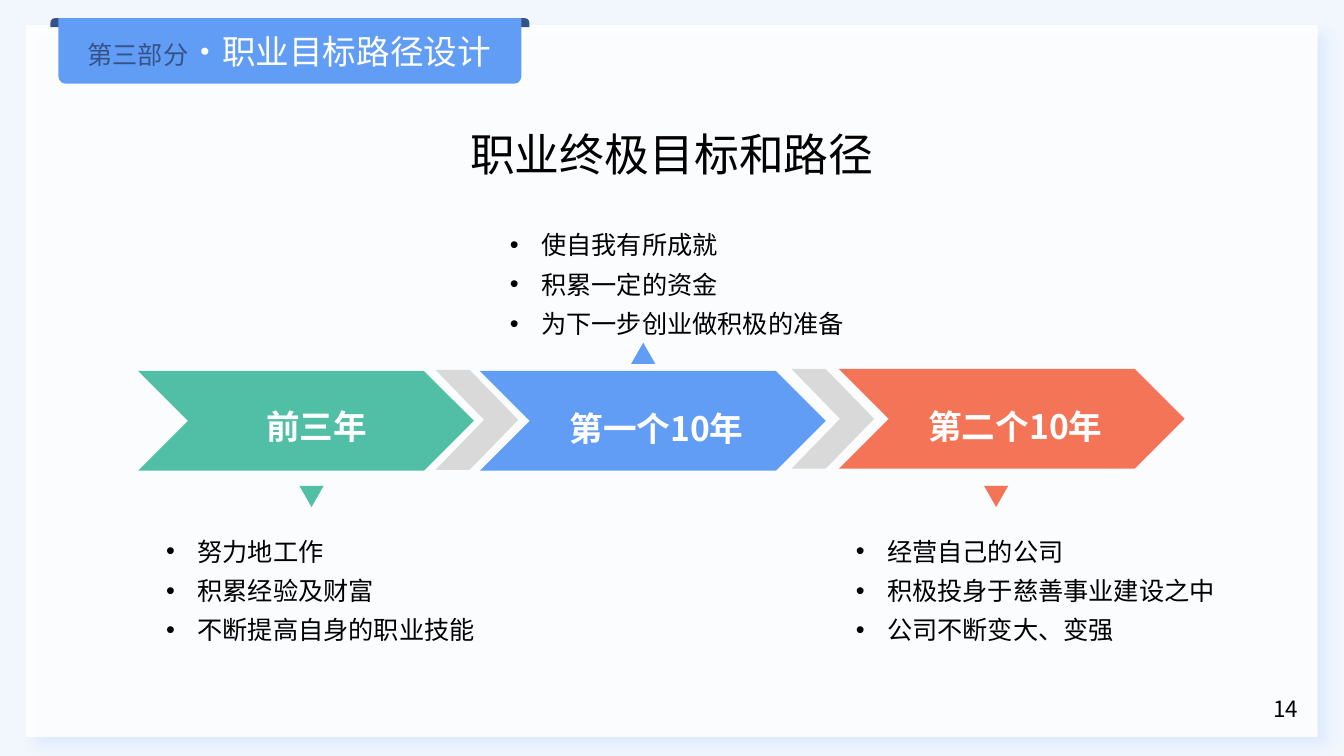
import collections

import lxml.etree
import pptx
import pptx.dml.color
import pptx.enum.shapes
import pptx.enum.text
import pptx.oxml
import pptx.oxml.ns
import pptx.util

RGBColor = pptx.dml.color.RGBColor
SHAPES = pptx.enum.shapes.MSO_SHAPE
CENTER = pptx.enum.text.PP_ALIGN.CENTER
qn = pptx.oxml.ns.qn

PALE = RGBColor(0xF2, 0xF7, 0xFE)
WHITE = RGBColor(0xFF, 0xFF, 0xFF)
BLACK = RGBColor(0x00, 0x00, 0x00)
NAVY = RGBColor(0x35, 0x53, 0x89)
BLUE = RGBColor(0x61, 0x9D, 0xF5)
GREEN = RGBColor(0x50, 0xBF, 0xA5)
ORANGE = RGBColor(0xF4, 0x74, 0x58)
GRAY = RGBColor(0xD9, 0xD9, 0xD9)
FONT = "Noto Sans CJK SC"

SLIDE_WIDTH = pptx.util.Inches(13.33)
SLIDE_HEIGHT = pptx.util.Inches(7.5)
COLUMN = SLIDE_WIDTH / 133.3
ROW = SLIDE_HEIGHT / 75

Box = collections.namedtuple("Box", "left top width height")
Stage = collections.namedtuple("Stage", "box name label pointer points colour bullets")

STAGES = [
    Stage(Box(13.7, 36.8, 33.3, 9.9), "前三年", Box(11.7, 1.8, 12.1, 5.9),
          Box(16, 11.4, 2.4, 2.1), Box(1.8, 15, 35.7, 12.6), GREEN,
          ["努力地工作", "积累经验及财富", "不断提高自身的职业技能"]),
    Stage(Box(47.6, 36.8, 34.3, 9.9), "第一个10年", Box(7.9, 2, 22.4, 5.9),
          Box(15, -2.8, 2.4, 2.1), Box(2, -15.4, 36.7, 12.6), BLUE,
          ["使自我有所成就", "积累一定的资金", "为下一步创业做积极的准备"]),
    Stage(Box(83.2, 36.6, 34.3, 9.9), "第二个10年", Box(7.9, 2, 22.4, 5.9),
          Box(14.4, 11.6, 2.4, 2.1), Box(0.7, 15.2, 39.9, 12.6), ORANGE,
          ["经营自己的公司", "积极投身于慈善事业建设之中", "公司不断变大、变强"]),
]


def inside(box, part):
    """Return part, given from the corner of box, in slide grid units."""
    return part._replace(left=box.left + part.left, top=box.top + part.top)


def measure(box):
    """Turn grid units into whole slide lengths."""
    return (round(box.left * COLUMN), round(box.top * ROW),
            round(box.width * COLUMN), round(box.height * ROW))


def add_block(slide, box, kind, colour, adjustments=(), rotation=0):
    """Add a plain filled shape."""
    shape = slide.shapes.add_shape(kind, *measure(box))
    shape.shadow.inherit = False
    shape.fill.solid()
    shape.fill.fore_color.rgb = colour
    shape.line.fill.background()
    shape.rotation = rotation
    for index, value in enumerate(adjustments):
        shape.adjustments[index] = value
    return shape


def add_text(slide, box, lines, size=18, colour=BLACK, bold=False, align=None,
             spacing=None, bullet=False, wrap=True):
    """Add a text box; each line is a list of (text, overrides) runs."""
    frame = slide.shapes.add_textbox(*measure(box)).text_frame
    frame.word_wrap = wrap
    for index, runs in enumerate(lines):
        paragraph = frame.add_paragraph() if index else frame.paragraphs[0]
        if bullet:
            properties = paragraph._p.get_or_add_pPr()
            indent = pptx.util.Inches(0.31)
            properties.set("marL", str(indent))
            properties.set("indent", str(-indent))
            lxml.etree.SubElement(properties, qn("a:buFont"), typeface="Arial")
            lxml.etree.SubElement(properties, qn("a:buChar"), char="•")
        paragraph.alignment = align
        paragraph.line_spacing = spacing
        for text, style in runs:
            run = paragraph.add_run()
            run.text = text
            run.font.name = FONT
            run.font.size = pptx.util.Pt(style.get("size", size))
            run.font.bold = bold
            run.font.color.rgb = style.get("colour", colour)
            lxml.etree.SubElement(run._r.get_or_add_rPr(), qn("a:ea"), typeface=FONT)


def add_panel(slide, box):
    """Add the translucent page panel with its soft shadow and page number."""
    properties = add_block(slide, box, SHAPES.RECTANGLE, WHITE)._element.spPr
    fill_colour = properties.find(qn("a:solidFill")).find(qn("a:srgbClr"))
    lxml.etree.SubElement(fill_colour, qn("a:alpha"), val="88000")
    shadow = lxml.etree.SubElement(
        properties.find(qn("a:effectLst")), qn("a:outerShdw"),
        blurRad=str(pptx.util.Pt(9)), dist=str(pptx.util.Pt(9)),
        dir="2700000", algn="tl", rotWithShape="0")
    shadow_colour = lxml.etree.SubElement(shadow, qn("a:srgbClr"), val=str(BLUE))
    lxml.etree.SubElement(shadow_colour, qn("a:alpha"), val="15000")
    add_text(slide, inside(box, Box(122.4, 66, 5, 4)), [[("14", {})]], size=16, align=CENTER)


def add_section_tab(slide, box):
    """Add the folded tab that names the section."""
    add_block(slide, box._replace(height=0.9), SHAPES.ROUND_2_SAME_RECTANGLE, NAVY, (0.5, 0))
    add_block(slide, inside(box, Box(0.8, 0, 45.9, 6.5)),
              SHAPES.ROUND_2_SAME_RECTANGLE, BLUE, (0.107, 0), rotation=180)
    add_text(slide, inside(box, Box(2.7, 0.8, 44.1, 5)),
             [[("第三部分", {"size": 18, "colour": NAVY}), ("·职业目标路径设计", {})]],
             size=24, colour=WHITE, wrap=False)


def add_stage(slide, stage):
    """Add a stage chevron with its label, pointer and bullet list."""
    box = stage.box
    add_block(slide, box, SHAPES.CHEVRON, stage.colour)
    add_text(slide, inside(box, stage.label), [[(stage.name, {})]], size=24,
             colour=WHITE, bold=True, spacing=1.3, wrap=len(stage.name) > 3)
    add_block(slide, inside(box, stage.pointer), SHAPES.ISOSCELES_TRIANGLE, stage.colour,
              rotation=180 if stage.pointer.top > 0 else 0)
    add_text(slide, inside(box, stage.points), [[(text, {})] for text in stage.bullets],
             spacing=1.3, bullet=True)


def main():
    """Build the career path slide."""
    presentation = pptx.Presentation()
    presentation.slide_width = SLIDE_WIDTH
    presentation.slide_height = SLIDE_HEIGHT
    slide = presentation.slides.add_slide(presentation.slide_layouts[6])
    slide.background.fill.solid()
    slide.background.fill.fore_color.rgb = PALE
    add_panel(slide, Box(2.6, 2.5, 128.1, 70.6))
    add_section_tab(slide, Box(5, 1.8, 47.5, 6.5))
    add_text(slide, Box(33.3, 12.1, 66.7, 6.4), [[("职业终极目标和路径", {})]],
             size=32, align=CENTER)
    for stage in STAGES:
        add_stage(slide, stage)
    for link in (Box(43.2, 36.7, 8.2, 9.9), Box(78.5, 36.6, 8.2, 9.9)):
        add_block(slide, link, SHAPES.CHEVRON, GRAY, (0.587,))
    presentation.save("out.pptx")


if __name__ == "__main__":
    main()
